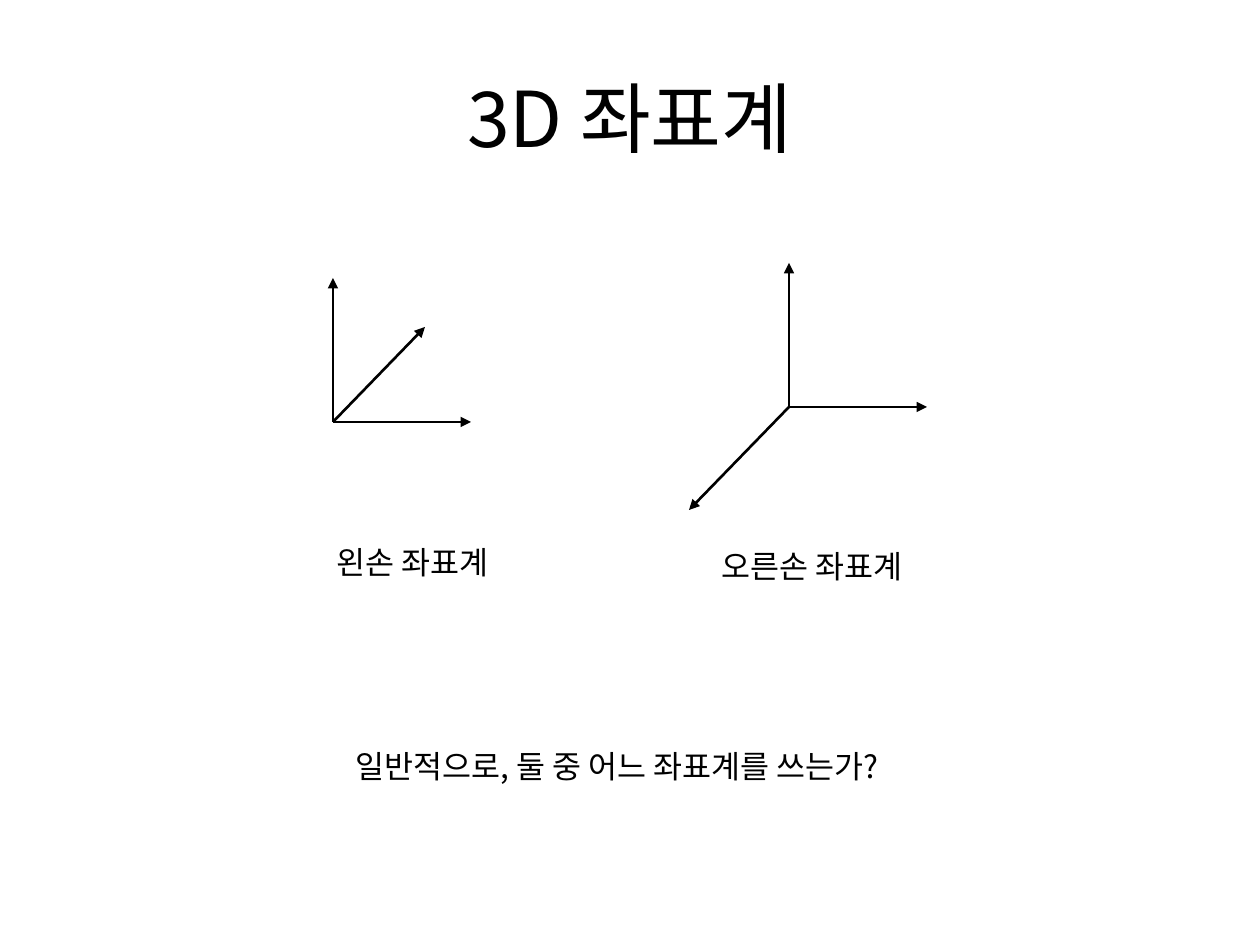
from lxml import etree
from pptx import Presentation
from pptx.dml.color import RGBColor
from pptx.enum.shapes import MSO_CONNECTOR
from pptx.enum.text import MSO_ANCHOR, MSO_AUTO_SIZE, PP_ALIGN
from pptx.oxml.ns import qn
from pptx.util import Emu, Pt

STRAIGHT = MSO_CONNECTOR.STRAIGHT
TOP, MIDDLE = MSO_ANCHOR.TOP, MSO_ANCHOR.MIDDLE
LEFT, CENTER = PP_ALIGN.LEFT, PP_ALIGN.CENTER
FIT_SHAPE, NO_FIT = MSO_AUTO_SIZE.SHAPE_TO_FIT_TEXT, MSO_AUTO_SIZE.NONE
EMU_PER_PX = 914400 / 126
COLORS = {"ink": "000000", "paper": "FFFFFF"}
FONT = "Noto Sans CJK KR"


def px(length):
    return Emu(round(length * EMU_PER_PX))


class SlidePainter:
    def __init__(self, page):
        self.page = page
        page.background.fill.solid()
        page.background.fill.fore_color.rgb = RGBColor.from_string(COLORS["paper"])

    def text(self, words, left, top, width, height, size=18,
             align=CENTER, anchor=TOP, fit=FIT_SHAPE):
        box = self.page.shapes.add_textbox(px(left), px(top), px(width), px(height))
        frame = box.text_frame
        frame.word_wrap = True
        frame.auto_size = fit
        frame.vertical_anchor = anchor
        para = frame.paragraphs[0]
        para.text = words
        para.alignment = align
        font = para.font
        font.size = Pt(size)
        font.name = FONT
        font.color.rgb = RGBColor.from_string(COLORS["ink"])
        # Hangul takes the East Asian typeface
        properties = para._p.pPr.find(qn("a:defRPr"))
        etree.SubElement(properties, qn("a:ea"), typeface=FONT)

    def arrow(self, shapes, start, end):
        line = shapes.add_connector(STRAIGHT, *map(px, start + end))
        line.line.color.rgb = RGBColor.from_string(COLORS["ink"])
        line.line.width = Pt(1.5)
        etree.SubElement(line.line._ln, qn("a:tailEnd"), type="triangle")
        etree.SubElement(line._element.spPr, qn("a:effectLst"))

    def axes(self, origin, depth):
        """Draw x and y axes of fixed length, and the given z axis."""
        group = self.page.shapes.add_group_shape()
        for across, down in ((138, 0), (0, -144), depth):
            tip = (origin[0] + across, origin[1] + down)
            self.arrow(group.shapes, origin, tip)


def main():
    deck = Presentation()
    deck.slide_width, deck.slide_height = px(1260), px(945)
    painter = SlidePainter(deck.slides.add_slide(deck.slide_layouts[6]))

    # Title
    painter.text("3D 좌표계", 63, 38, 1134, 157, size=44, anchor=MIDDLE, fit=NO_FIT)

    # Left-handed and right-handed axes
    painter.axes((333, 422), depth=(92, -95))
    painter.axes((789, 407), depth=(-100, 103))

    # Captions
    painter.text("왼손 좌표계", 243, 537, 338, 50)
    painter.text("오른손 좌표계", 643, 541, 338, 50)

    # Question
    painter.text("일반적으로, 둘 중 어느 좌표계를 쓰는가?", 343, 741, 601, 50, align=LEFT)

    deck.save("out.pptx")


if __name__ == "__main__":
    main()
